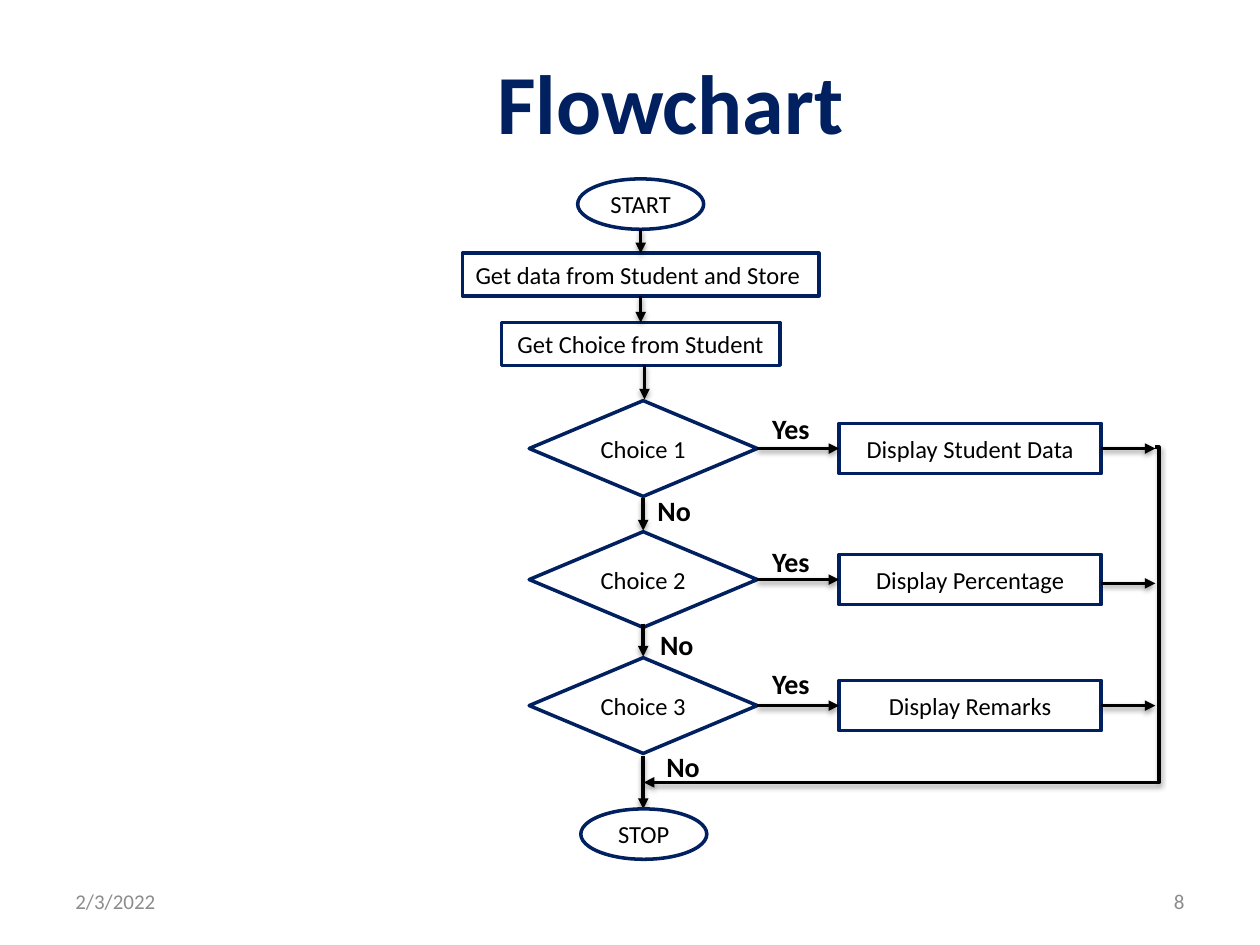
from dataclasses import dataclass

from lxml.etree import SubElement
from pptx import Presentation
from pptx.dml.color import RGBColor
from pptx.enum.shapes import MSO_CONNECTOR, MSO_SHAPE
from pptx.enum.text import MSO_ANCHOR, MSO_AUTO_SIZE, PP_ALIGN
from pptx.oxml.ns import qn
from pptx.util import Inches, Pt

NAVY = RGBColor(0x00, 0x20, 0x60)
BLACK = RGBColor(0x00, 0x00, 0x00)
WHITE = RGBColor(0xFF, 0xFF, 0xFF)
GRAY = RGBColor(0x8C, 0x8C, 0x8C)
FONT = "Calibri"
COLUMNS, ROWS = 100, 75
CELL = Inches(0.1)


@dataclass
class Box:
    left: float
    top: float
    width: float
    height: float

    def inside(self, left, top, width, height):
        return Box(self.left + left, self.top + top, width, height)

    def point(self, column, row):
        return self.left + column, self.top + row

    def lengths(self):
        return [round(value * CELL) for value in (self.left, self.top, self.width, self.height)]


def write_text(frame, text, size=14, color=BLACK, bold=False, align=PP_ALIGN.CENTER,
               anchor=MSO_ANCHOR.MIDDLE, wrap=True):
    frame.word_wrap = wrap
    frame.vertical_anchor = anchor
    paragraph = frame.paragraphs[0]
    paragraph.alignment = align
    run = paragraph.add_run()
    run.text = text
    run.font.name = FONT
    run.font.size = Pt(size)
    run.font.bold = bold
    run.font.color.rgb = color


def add_label(slide, box, text, **text_format):
    frame = slide.shapes.add_textbox(*box.lengths()).text_frame
    write_text(frame, text, **text_format)
    if not frame.word_wrap:
        frame.auto_size = MSO_AUTO_SIZE.SHAPE_TO_FIT_TEXT


def add_answer(slide, box, text):
    add_label(slide, box, text, size=16, bold=True, align=PP_ALIGN.LEFT,
              anchor=MSO_ANCHOR.TOP, wrap=False)


def add_node(slide, kind, box, text):
    shape = slide.shapes.add_shape(kind, *box.lengths())
    shape.shadow.inherit = False
    shape.fill.solid()
    shape.fill.fore_color.rgb = WHITE
    shape.line.color.rgb = NAVY
    shape.line.width = Pt(2)
    write_text(shape.text_frame, text)


def add_arrow(slide, start, end, kind=MSO_CONNECTOR.STRAIGHT):
    ends = [round(value * CELL) for value in (*start, *end)]
    connector = slide.shapes.add_connector(kind, *ends)
    connector.line.color.rgb = BLACK
    connector.line.width = Pt(2)
    properties = connector._element.spPr
    SubElement(properties.get_or_add_ln(), qn("a:tailEnd"), type="triangle")
    effects = SubElement(properties, qn("a:effectLst"))
    shadow = SubElement(effects, qn("a:outerShdw"), blurRad=str(Pt(3.1)), dist=str(Pt(1.6)),
                        dir="5400000", rotWithShape="0")
    color = SubElement(shadow, qn("a:srgbClr"), val=str(BLACK))
    SubElement(color, qn("a:alpha"), val="38000")
    return connector


def build_title(slide, box):
    add_label(slide, box, "Flowchart", size=48, color=NAVY, bold=True,
              anchor=MSO_ANCHOR.TOP, wrap=False)


def build_footer(slide, box):
    width = 23.3
    add_label(slide, box.inside(0, 0, width, box.height), "2/3/2022",
              size=12, color=GRAY, align=PP_ALIGN.LEFT)
    add_label(slide, box.inside(box.width - width, 0, width, box.height), "8",
              size=12, color=GRAY, align=PP_ALIGN.RIGHT)


def build_opening(slide, box):
    middle = box.width / 2
    steps = [
        (MSO_SHAPE.OVAL, 0, 10, 4, "START"),
        (MSO_SHAPE.RECTANGLE, 5.9, 28.3, 3.4, "Get data from Student and Store "),
        (MSO_SHAPE.RECTANGLE, 11.4, 22.1, 3.4, "Get Choice from Student"),
    ]
    for kind, top, width, height, text in steps:
        add_node(slide, kind, box.inside(middle - width / 2, top, width, height), text)
    for (_, top, _, height, _), following in zip(steps, steps[1:]):
        add_arrow(slide, box.point(middle, top + height), box.point(middle, following[1]))
    add_arrow(slide, box.point(middle + 0.3, 14.8), box.point(middle + 0.3, box.height))


def build_choice(slide, box, question, action, yes_top, exit_row, no_at, down):
    decision_width, action_left, action_width = 18.1, 24.6, 20.8
    middle = box.height / 2
    add_node(slide, MSO_SHAPE.FLOWCHART_DECISION,
             box.inside(0, 0, decision_width, box.height), question)
    add_node(slide, MSO_SHAPE.RECTANGLE,
             box.inside(action_left, middle - 2, action_width, 4), action)
    add_arrow(slide, box.point(decision_width, middle), box.point(action_left, middle))
    add_arrow(slide, box.point(action_left + action_width, exit_row),
              box.point(box.width, exit_row))
    add_arrow(slide, box.point(decision_width / 2, down[0]),
              box.point(decision_width / 2, down[1]))
    add_answer(slide, box.inside(18.3, yes_top, 5, 3.7), "Yes")
    add_answer(slide, box.inside(*no_at, 4.7, 3.7), "No")


def build_closing(slide, box):
    add_node(slide, MSO_SHAPE.OVAL, box.inside(0, box.height - 4, 10, 4), "STOP")
    connector = add_arrow(slide, box.point(box.width, 0), box.point(5, 26.6),
                          MSO_CONNECTOR.ELBOW)
    adjustments = connector._element.spPr.find(qn("a:prstGeom")).get_or_add_avLst()
    SubElement(adjustments, qn("a:gd"), name="adj1", fmla="val -700")


def main():
    presentation = Presentation()
    presentation.slide_width = COLUMNS * CELL
    presentation.slide_height = ROWS * CELL
    slide = presentation.slides.add_slide(presentation.slide_layouts[6])
    build_footer(slide, Box(5, 69.5, 90, 4))
    build_title(slide, Box(38.3, 3.5, 29.8, 9.1))
    build_opening(slide, Box(36.7, 14.2, 28.3, 17.5))
    choices = [
        (31.8, "Choice 1", "Display Student Data", 0.4, 3.8, (9.2, 6.9), (7.7, 10.3)),
        (42.2, "Choice 2", "Display Percentage", 0.5, 4.1, (9.4, 7.1), (7.3, 9.9)),
        (52.2, "Choice 3", "Display Remarks", 0.2, 3.8, (9.9, 6.8), (7.8, 12)),
    ]
    for top, *content in choices:
        build_choice(slide, Box(42, top, 49.7, 7.6), *content)
    build_closing(slide, Box(46.1, 35.5, 45.6, 32.7))
    presentation.save("out.pptx")


if __name__ == "__main__":
    main()
